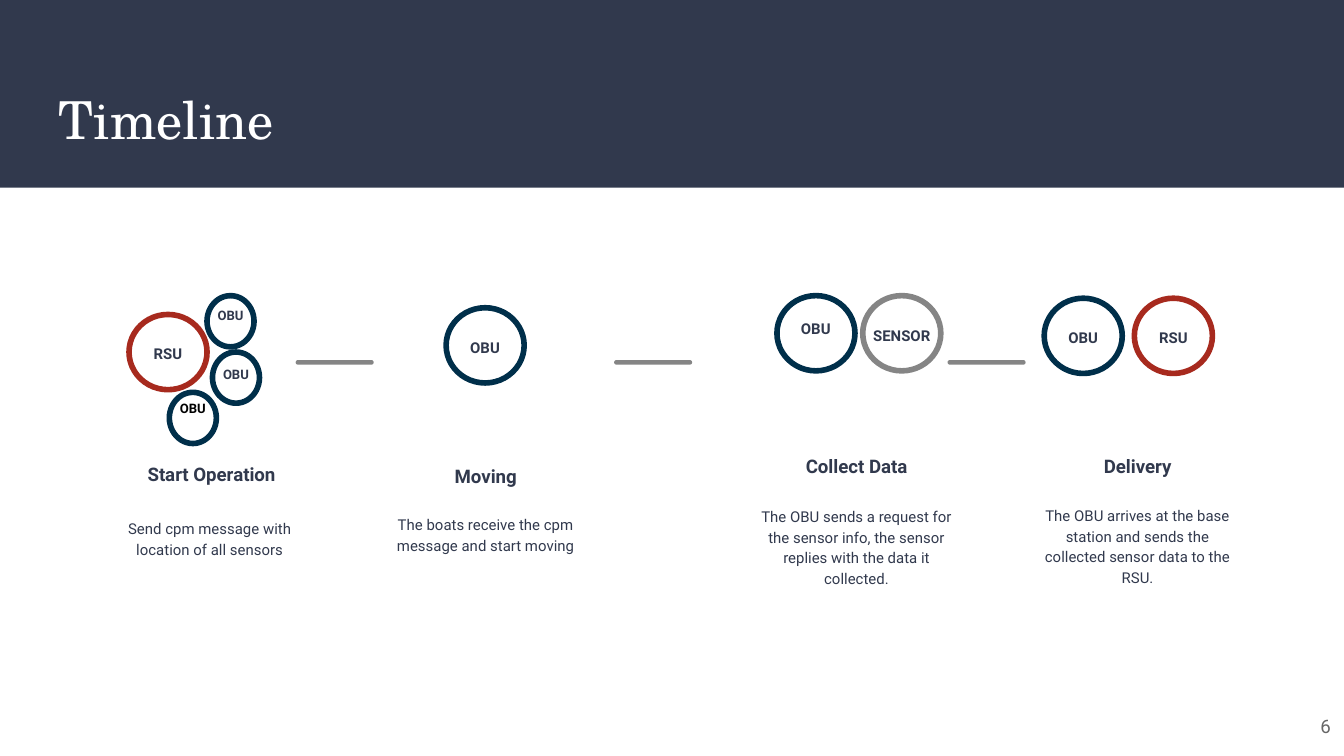
from pptx import Presentation
from pptx.dml.color import RGBColor
from pptx.enum.shapes import MSO_SHAPE as SHAPE
from pptx.enum.text import MSO_ANCHOR as ANCHOR, PP_ALIGN as ALIGN
from pptx.util import Pt

INK, NAVY, RED, GREY = "31394D", "002F4A", "A72A1E", "858585"
BIG, SMALL = (41.8, 40.3), (25.2, 27.4)

# Step: left, top, body (dx, dy, width), heading, body text, then
# circles: dx, dy, size, colour, label, label (dy, width, height, spacing, size, colour)
STEPS = [
    (53.3, 236.9, (-2.9, 33.1, 124), "Start Operation",
     "Send cpm message with location of all sensors",
     [(15.8, -68.4, BIG, RED, "RSU", (9.4, 31, 21.6, 1.15, 8, INK)),
      (57.6, -78.5, SMALL, NAVY, "OBU", (0, 48, 11.5, 1.15, 7, INK)),
      (37.4, -26.7, SMALL, NAVY, "OBU", (0, 36.7, 23, 1, 7, "000000")),
      (60.5, -48.3, SMALL, NAVY, "OBU", (1.5, 48, 14.4, 1.15, 7, INK))]),
    (200.2, 237.6, (0, 30.2, 120), "Moving",
     "The boats receive the cpm message and start moving",
     [(38.8, -72.7, BIG, NAVY, "OBU", (9.4, 31, 21.6, 1.15, 8, INK))]),
    (398.9, 232.6, (0, 30.9, 120), "Collect Data",
     "The OBU sends a request for the sensor info, the sensor replies with the data it collected.",
     [(63.3, -74.2, BIG, GREY, "SENSOR", (9.4, 48, 21.6, 1.15, 8, INK)),
      (17.3, -74.2, BIG, NAVY, "OBU", (7.9, 31, 24.5, 1, 8, INK))]),
    (549.4, 232.6, (0, 30.2, 120), "Delivery",
     "The OBU arrives at the base station and sends the collected sensor data to the RSU.",
     [(10, -72.8, BIG, NAVY, "OBU", (9.4, 31, 21.6, 1.15, 8, INK)),
      (58.3, -72.8, BIG, RED, "RSU", (9.4, 31, 21.6, 1.15, 8, INK))]),
]


def rgb(value):
    """Return the colour for a hex string."""
    return RGBColor.from_string(value)


def add_text(s, box, text, size, color=INK, font="Roboto", bold=False,
             align=ALIGN.CENTER, anchor=ANCHOR.TOP, spacing=1.15, wrap=True):
    """Add a one-paragraph text box."""
    tf = s.shapes.add_textbox(*map(Pt, box)).text_frame
    tf.word_wrap = wrap
    tf.vertical_anchor = anchor
    tf.margin_left = tf.margin_right = tf.margin_top = tf.margin_bottom = Pt(7.2)
    p = tf.paragraphs[0]
    p.text, p.alignment, p.line_spacing = text, align, spacing
    p.font.name, p.font.size, p.font.bold = font, Pt(size), bold
    p.font.color.rgb = rgb(color)


def add_shape(s, kind, box, fill=None, line=None):
    """Add a flat shape with a fill or a 3 pt outline."""
    sp = s.shapes.add_shape(kind, *map(Pt, box))
    sp.shadow.inherit = False
    if fill:
        sp.fill.solid()
        sp.fill.fore_color.rgb = rgb(fill)
    else:
        sp.fill.background()
    if line:
        sp.line.color.rgb = rgb(line)
        sp.line.width = Pt(3)
    else:
        sp.line.fill.background()
    return sp


def add_header(s, x, y, w, h):
    """Place the title band."""
    add_shape(s, SHAPE.RECTANGLE, (x, y, w, h), fill=INK)
    add_text(s, (x + 24.5, y + 39.6, w - 49, 49), "Timeline", 28, "FFFFFF",
             "TeX Gyre Schola", align=ALIGN.LEFT, spacing=1)


def add_node(s, x, y, size, color, text, label):
    """Place a circle and its label, centred across it."""
    w, h = size
    dy, label_w, label_h, spacing, points, ink = label
    add_shape(s, SHAPE.OVAL, (x, y, w, h), line=color)
    add_text(s, (x + (w - label_w) / 2, y + dy, label_w, label_h), text, points,
             ink, bold=True, spacing=spacing, wrap=False)


def add_step(s, x, y, body, heading, text, nodes):
    """Place one step: circles above, heading and description below."""
    for dx, dy, *node in nodes:
        add_node(s, x + dx, y + dy, *node)
    dx, dy, w = body
    add_text(s, (x, y, 120, 30.2), heading, 10, bold=True, anchor=ANCHOR.BOTTOM)
    add_text(s, (x + dx, y + dy, w, 50.4), text, 8)


def add_bar(s, x, y):
    """Place a rounded bar between two steps."""
    bar = add_shape(s, SHAPE.ROUNDED_RECTANGLE, (x, y, 41.8, 2.5), fill=GREY)
    bar.adjustments[0] = 0.5


def main():
    """Build the timeline slide."""
    prs = Presentation()
    prs.slide_width, prs.slide_height = Pt(720), Pt(405)
    s = prs.slides.add_slide(prs.slide_layouts[6])
    add_header(s, 0, 0, 720, 100.5)
    for x in (158.4, 329, 507.6):
        add_bar(s, x, 192.9)
    for step in STEPS:
        add_step(s, *step)
    add_text(s, (676.8, 373.7, 43.2, 31), "6", 10, "666666", align=ALIGN.RIGHT,
             anchor=ANCHOR.MIDDLE, spacing=1)
    prs.save("out.pptx")


if __name__ == "__main__":
    main()
